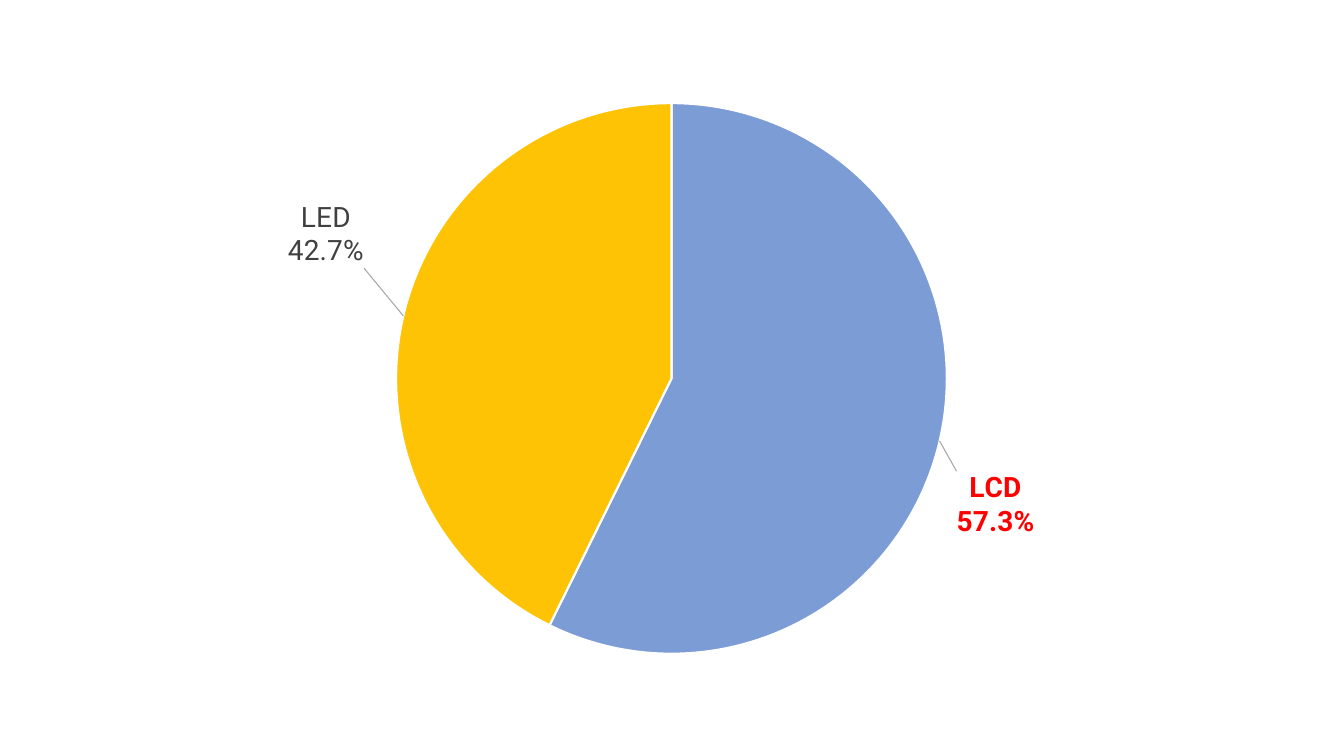
from dataclasses import dataclass

from pptx import Presentation
from pptx import util as u
from pptx.chart import data as chart_data
from pptx.dml import color
from pptx.enum import chart as chart_enum
from pptx.oxml import parse_xml
from pptx.oxml import ns


@dataclass(frozen=True)
class Theme:
    lcd: str = "7C9CD6"
    led: str = "FFC305"
    background: str = "FFFFFF"
    label: str = "404040"
    highlight: str = "FF0000"
    leader: str = "A6A6A6"
    base_font: str = "Calibri"
    label_font: str = "Roboto"
    base_size: int = 10
    label_size: int = 20


THEME = Theme()
PERCENT = "0.0%"

# name, share, slice colour, label colour, bold, label shift as share of the chart
SLICES = [
    ("LCD", 0.573, THEME.lcd, THEME.highlight, True, (0.01, 0.05)),
    ("LED", 0.427, THEME.led, THEME.label, False, (-0.03, -0.08)),
]


def rgb(value):
    return color.RGBColor.from_string(value)


def chart_xml(body):
    return parse_xml(body.replace(">", f" {ns.nsdecls('c', 'a')}>", 1))


def manual_layout(**values):
    items = "".join(f'<c:{tag} val="{value}"/>' for tag, value in values.items())
    return chart_xml(f"<c:layout><c:manualLayout>{items}</c:manualLayout></c:layout>")


def format_text(font, name, size, fill, bold=False):
    font.name, font.size, font.bold = name, u.Pt(size), bold
    font.color.rgb = rgb(fill)


def replace_layout(parent, layout, position):
    for existing in parent.findall(ns.qn("c:layout")):
        parent.remove(existing)
    parent.insert(position, layout)


def style_slice(series, index, fill, label_color, bold, shift):
    point = series.points[index]
    point.format.fill.solid()
    point.format.fill.fore_color.rgb = rgb(fill)
    point.format.line.color.rgb = rgb(THEME.background)
    point.format.line.width = u.Pt(1.5)

    # Category above value, moved away from the slice
    point.data_label.position = chart_enum.XL_LABEL_POSITION.OUTSIDE_END
    format_text(point.data_label.font, THEME.label_font, THEME.label_size,
                label_color, bold)
    label = series._element.xpath(f"c:dLbls/c:dLbl[c:idx/@val='{index}']")[0]
    replace_layout(label, manual_layout(x=shift[0], y=shift[1]), 1)
    label.insert(2, chart_xml(f'<c:numFmt formatCode="{PERCENT}" sourceLinked="0"></c:numFmt>'))
    label.find(ns.qn("c:showCatName")).set("val", "1")
    label.append(chart_xml("<c:separator>\n</c:separator>"))


def add_leader_lines(labels):
    element = labels._element
    for tag in ("c:showLeaderLines", "c:leaderLines"):
        for existing in element.findall(ns.qn(tag)):
            element.remove(existing)
    element.append(chart_xml("<c:separator>\n</c:separator>"))
    element.append(chart_xml('<c:showLeaderLines val="1"></c:showLeaderLines>'))
    element.append(chart_xml(
        '<c:leaderLines><c:spPr><a:ln w="9525"><a:solidFill>'
        f'<a:srgbClr val="{THEME.leader}"/></a:solidFill></a:ln></c:spPr></c:leaderLines>'))


def add_share_pie(slide, left, top, width, height):
    shares = chart_data.CategoryChartData(number_format=PERCENT)
    shares.categories = [item[0] for item in SLICES]
    shares.add_series("Series 1", [item[1] for item in SLICES])
    chart = slide.shapes.add_chart(
        chart_enum.XL_CHART_TYPE.PIE, u.Inches(left), u.Inches(top),
        u.Inches(width), u.Inches(height), shares).chart
    chart.has_legend = False
    chart.has_title = False
    format_text(chart.font, THEME.base_font, THEME.base_size, "000000")

    # Centred round plot area
    plot = chart.plots[0]
    plot.vary_by_categories = True
    plot_height = 0.95
    plot_width = round(plot_height * height / width, 3)
    plot_area = chart._chartSpace.xpath("c:chart/c:plotArea")[0]
    replace_layout(plot_area, manual_layout(
        layoutTarget="inner", xMode="edge", yMode="edge",
        x=(1 - plot_width) / 2, y=(1 - plot_height) / 2,
        w=plot_width, h=plot_height), 0)

    # Slices and labels
    series = plot.series[0]
    labels = series.data_labels
    labels.show_value = labels.show_category_name = True
    labels.number_format, labels.number_format_is_linked = PERCENT, False
    labels.position = chart_enum.XL_LABEL_POSITION.OUTSIDE_END
    format_text(labels.font, THEME.label_font, THEME.label_size, THEME.label)
    for index, (_, _, fill, label_color, bold, shift) in enumerate(SLICES):
        style_slice(series, index, fill, label_color, bold, shift)
    add_leader_lines(labels)


def main():
    presentation = Presentation()
    presentation.slide_width = u.Inches(13.33)
    presentation.slide_height = u.Inches(7.5)
    slide = presentation.slides.add_slide(presentation.slide_layouts[6])
    slide.background.fill.solid()
    slide.background.fill.fore_color.rgb = rgb(THEME.background)
    add_share_pie(slide, 1.12, 0.88, 11.08, 5.75)
    presentation.save("out.pptx")


if __name__ == "__main__":
    main()
